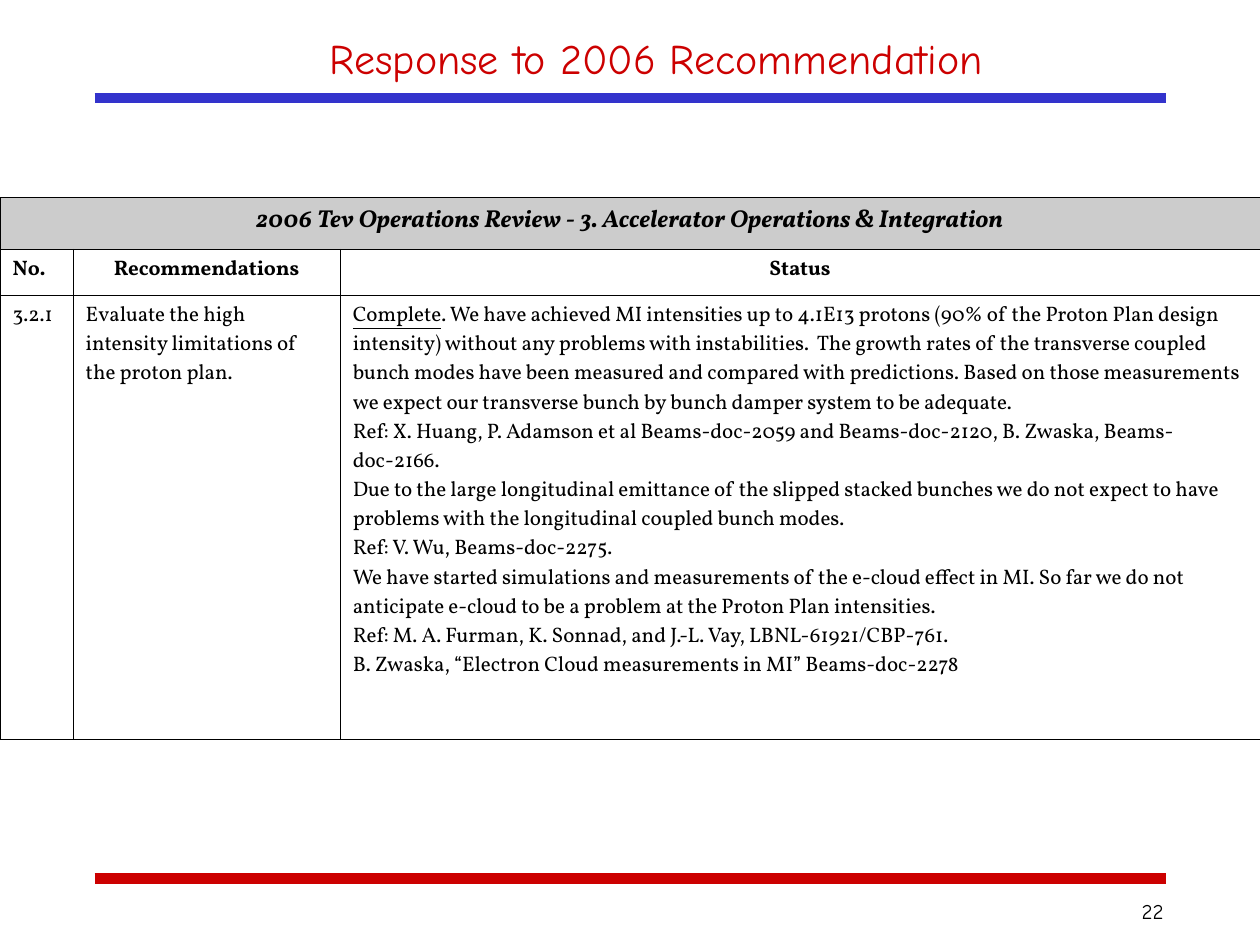
from dataclasses import dataclass

from lxml.etree import SubElement
from pptx import Presentation
from pptx.dml.color import RGBColor
from pptx.enum.shapes import MSO_CONNECTOR
from pptx.enum.text import MSO_ANCHOR, PP_ALIGN
from pptx.oxml import parse_xml
from pptx.oxml.ns import qn
from pptx.util import Pt


@dataclass(frozen=True)
class Theme:
    black: str = "000000"
    red: str = "CC0000"
    blue: str = "3333CC"
    grey: str = "CCCCCC"
    comic: str = "Comic Neue"
    serif: str = "Vollkorn"
    title: int = 24
    head: int = 14
    body: int = 12
    rule: int = 6
    border: float = 0.45


THEME = Theme()
NS = "http://schemas.openxmlformats.org/drawingml/2006/main"
COLS = (41.8, 152.6, 525.6)
ROWS = (29.5, 26.3, 253.7)
BANNER = "2006 Tev Operations Review - 3. Accelerator Operations & Integration"
HEADS = ("No.", "Recommendations", "Status")
ADVICE = "Evaluate the high intensity limitations of the proton plan."
DONE = "Complete"
STATUS = (
    ". We have achieved MI intensities up to 4.1E13 protons (90% of the Proton Plan "
    "design intensity) without any problems with instabilities.  The growth rates of the "
    "transverse coupled bunch modes have been measured and compared with predictions. "
    "Based on those measurements we expect our transverse bunch by bunch damper system "
    "to be adequate.",
    "Ref: X. Huang, P. Adamson et al Beams-doc-2059 and Beams-doc-2120, B. Zwaska, "
    "Beams-doc-2166.",
    "Due to the large longitudinal emittance of the slipped stacked bunches we do not "
    "expect to have problems with the longitudinal coupled bunch modes.",
    "Ref: V. Wu, Beams-doc-2275.",
    "We have started simulations and measurements of the e-cloud effect in MI. So far we "
    "do not anticipate e-cloud to be a problem at the Proton Plan intensities.",
    "Ref: M. A. Furman, K. Sonnad, and J.-L. Vay, LBNL-61921/CBP-761.",
    "B. Zwaska, “Electron Cloud measurements in MI” Beams-doc-2278",
)


def style(item, values):
    for name, value in values.items():
        setattr(item, name, value)


def write(para, text, face, size, color=THEME.black, **extra):
    run = para.add_run()
    run.text = text
    style(run.font, {"name": face, "size": Pt(size), **extra})
    run.font.color.rgb = RGBColor.from_string(color)


def add_text(slide, box, text, size, color, align, anchor=MSO_ANCHOR.TOP):
    shape = slide.shapes.add_textbox(*map(Pt, box))
    style(shape.text_frame, {"word_wrap": True, "vertical_anchor": anchor})
    para = shape.text_frame.paragraphs[0]
    para.alignment = align
    write(para, text, THEME.comic, size, color)


def add_rule(slide, left, top, width, color):
    line = slide.shapes.add_connector(
        MSO_CONNECTOR.STRAIGHT, Pt(left), Pt(top), Pt(left + width), Pt(top))
    line.line.width = Pt(THEME.rule)
    line.line.color.rgb = RGBColor.from_string(color)
    SubElement(line._element.spPr, qn("a:effectLst"))


def finish(cell, color=None):
    """Set the fill and margins of a cell and draw its four borders."""
    if color:
        cell.fill.solid()
        cell.fill.fore_color.rgb = RGBColor.from_string(color)
    else:
        cell.fill.background()
    style(cell, {"margin_left": Pt(7.2), "margin_right": Pt(7.2),
                 "margin_top": Pt(3.6), "margin_bottom": Pt(3.6)})
    props = cell._tc.get_or_add_tcPr()
    for index, side in enumerate("LRTB"):
        props.insert(index, parse_xml(
            f'<a:ln{side} xmlns:a="{NS}" w="{Pt(THEME.border)}"><a:solidFill>'
            f'<a:srgbClr val="{THEME.black}"/></a:solidFill></a:ln{side}>'))


def add_review(slide, left, top):
    table = slide.shapes.add_table(
        len(ROWS), len(COLS), Pt(left), Pt(top), Pt(sum(COLS)), Pt(sum(ROWS))).table
    style(table, {"first_row": False, "horz_banding": False})
    for col, width in zip(table.columns, COLS):
        col.width = Pt(width)
    for index, (row, height) in enumerate(zip(table.rows, ROWS)):
        row.height = Pt(height)
        for cell in row.cells:
            finish(cell, None if index else THEME.grey)

    table.cell(0, 0).merge(table.cell(0, len(COLS) - 1))
    para = table.cell(0, 0).text_frame.paragraphs[0]
    para.alignment = PP_ALIGN.CENTER
    write(para, BANNER, THEME.serif, THEME.head, bold=True, italic=True)

    for index, text in enumerate(HEADS):
        para = table.cell(1, index).text_frame.paragraphs[0]
        para.alignment = PP_ALIGN.CENTER if index else PP_ALIGN.LEFT
        write(para, text, THEME.serif, THEME.body, bold=True)

    for index, texts in enumerate((("3.2.1",), (ADVICE,), STATUS)):
        frame = table.cell(2, index).text_frame
        for count, text in enumerate(texts):
            para = frame.add_paragraph() if count else frame.paragraphs[0]
            if text is STATUS[0]:
                write(para, DONE, THEME.serif, THEME.body, underline=True)
            write(para, text, THEME.serif, THEME.body)


def add_header(slide, left, top, width):
    add_rule(slide, left, top + 44, width, THEME.blue)
    add_text(slide, (left + 66, top, 510, 42), "Response to 2006 Recommendation",
             THEME.title, THEME.red, PP_ALIGN.CENTER, MSO_ANCHOR.MIDDLE)


def add_footer(slide, left, top, width):
    add_rule(slide, left, top, width, THEME.red)
    add_text(slide, (left + width - 60, top + 8, 66, 30), "22",
             THEME.body, THEME.black, PP_ALIGN.RIGHT)


def main():
    deck = Presentation()
    style(deck, {"slide_width": Pt(720), "slide_height": Pt(540)})
    slide = deck.slides.add_slide(deck.slide_layouts[6])
    add_header(slide, 54, 12, 612)
    add_review(slide, 0, 113)
    add_footer(slide, 54, 502, 612)
    deck.save("out.pptx")


if __name__ == "__main__":
    main()
